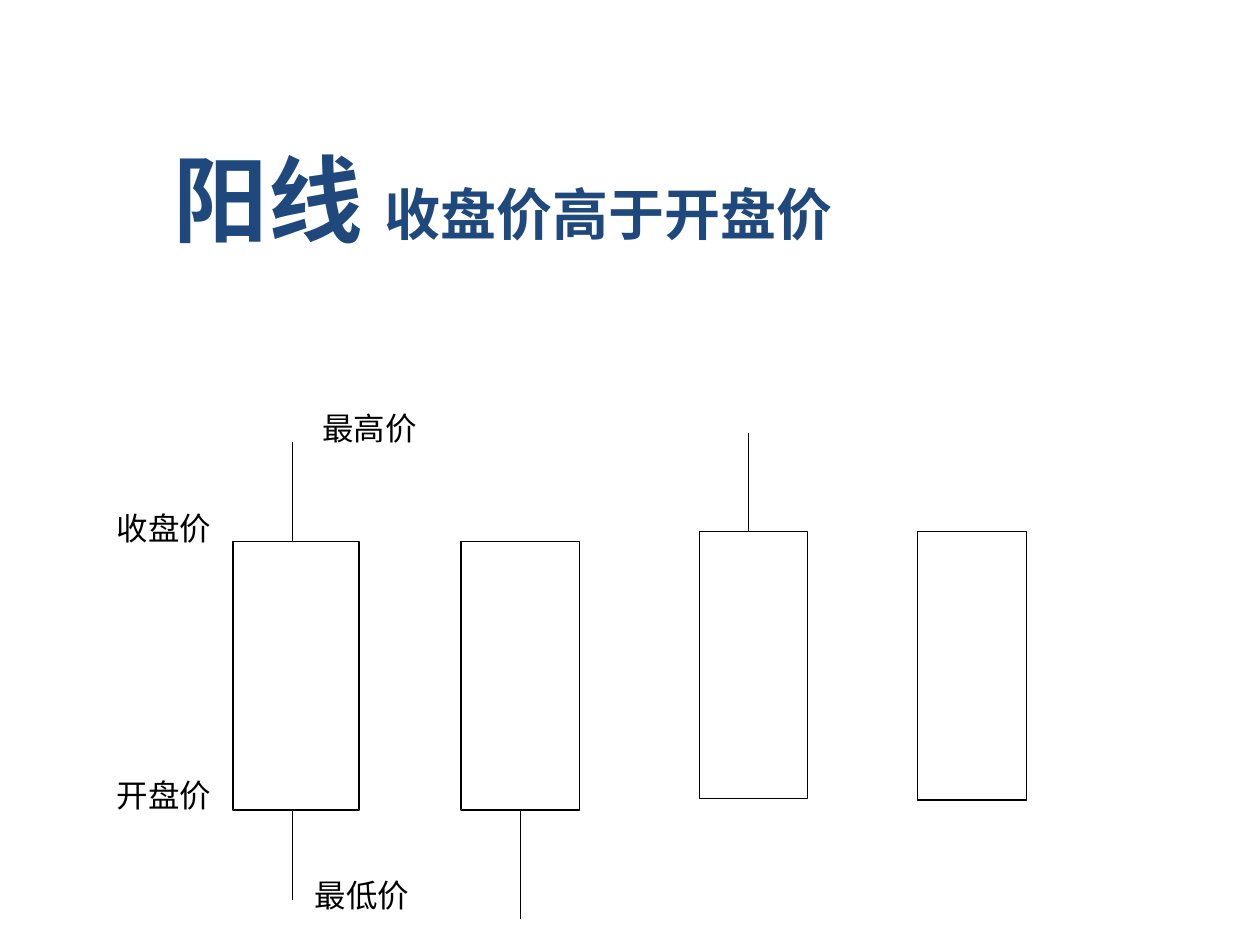
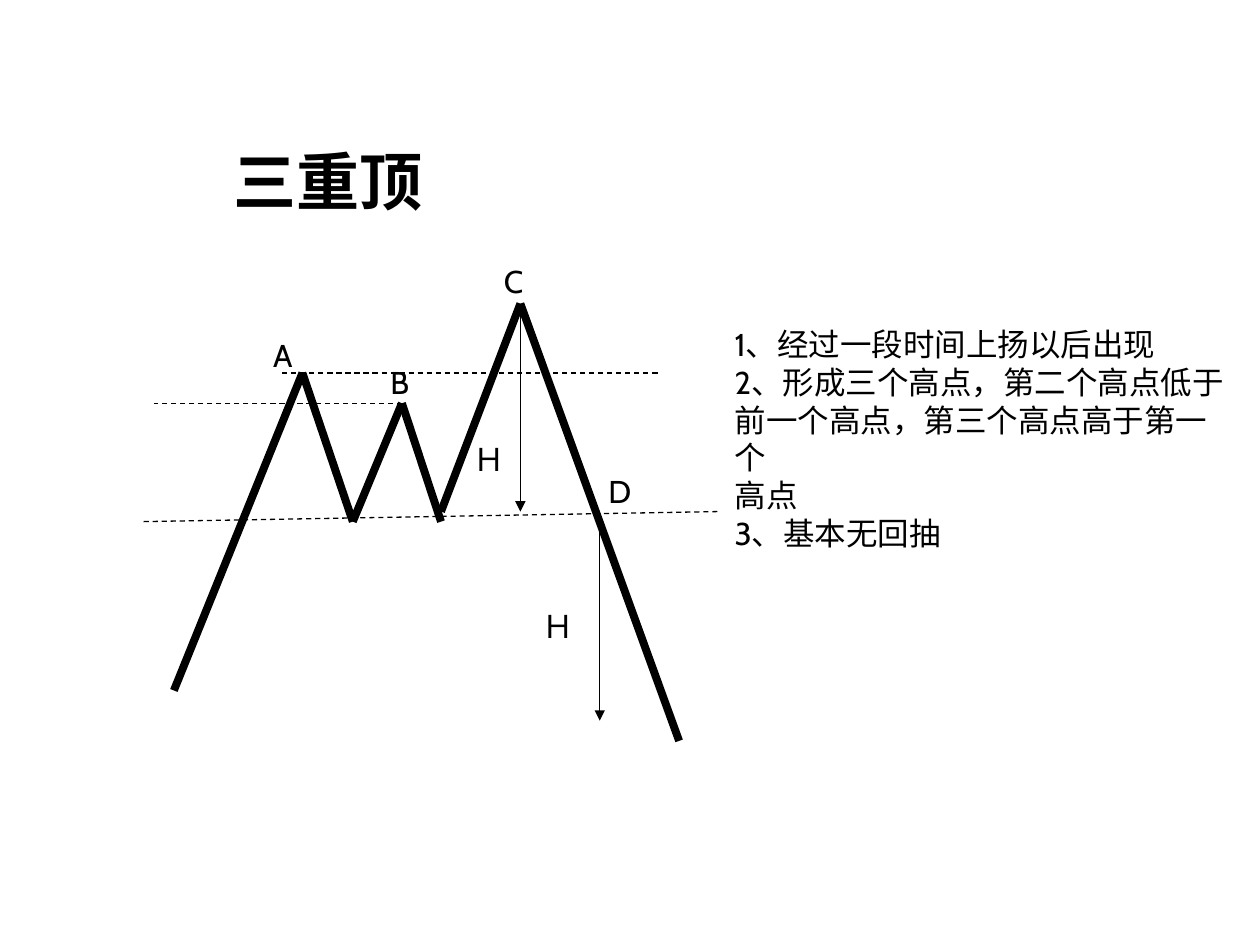
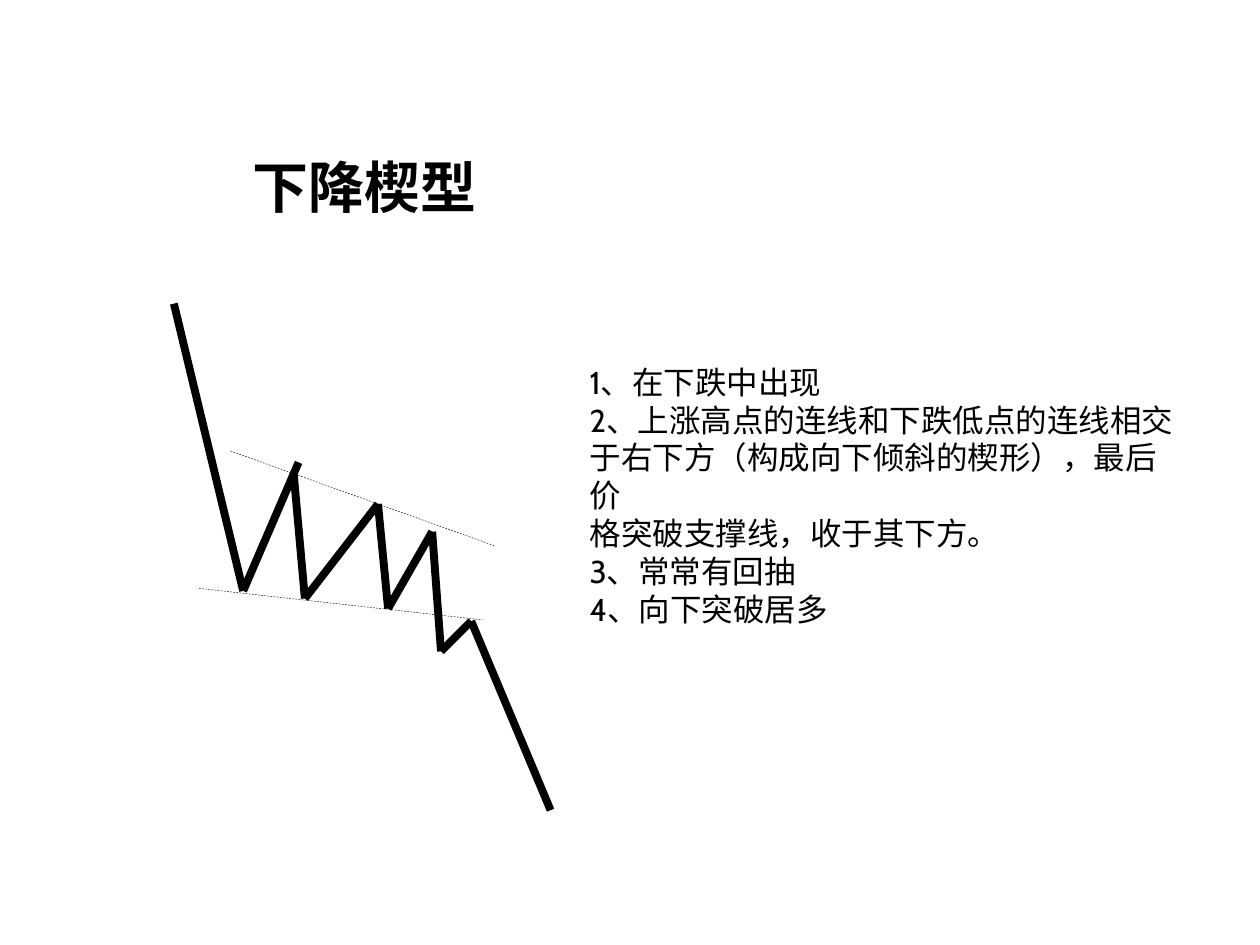
from itertools import pairwise
from pptx import Presentation
from pptx.dml import color
from pptx.enum import dml, shapes, text
from pptx.oxml import ns, xmlchemy
from pptx.util import Inches, Pt

INK, NAVY, PAPER = "000000", "1F497D", "FFFFFF"
LATIN, HAN = "Cabin", "Noto Sans CJK SC"
THICK, THIN, HAIR = 4.5, 0.75, 0.25
NOTE = {"size": Pt(18), "bold": False}

CANDLES = [
    ((1.85, 4.3, 1, 2.13), [(2.32, 3.51, 4.3), (2.32, 6.43, 7.14)]),
    ((3.66, 4.3, 0.94, 2.13), [(4.13, 6.43, 7.29)]),
    ((5.55, 4.22, 0.86, 2.12), [(5.94, 3.44, 4.22)]),
    ((7.28, 4.22, 0.87, 2.13), []),
]
SLIDES = [
    {
        "title": [("阳线 ", 54), ("收盘价高于开盘价", 32)],
        "place": (1.28, 1.07, 7.08, 1.01),
        "tint": NAVY,
        "face": HAN,
        "candles": CANDLES,
        "labels": [
            ("最高价", 2.46, 3.2, 0.95),
            ("收盘价", 0.83, 3.99, 0.95),
            ("开盘价", 0.83, 6.11, 0.95),
            ("最低价", 2.4, 6.9, 0.95),
        ],
    },
    {
        "title": [("三重顶", 36)],
        "place": (1.75, 1.08, 1.71, 0.7),
        "trends": [
            [(1.38, 5.48), (2.4, 2.96), (2.8, 4.14), (3.19, 3.2), (3.5, 4.14)],
            [(3.5, 4.06), (4.13, 2.41), (5.39, 5.88)],
        ],
        "guides": [
            [(1.14, 4.14), (5.71, 4.06)],
            [(2.24, 2.96), (5.24, 2.96)],
            [(3.19, 3.2), (1.22, 3.2)],
        ],
        "arrows": [[(4.76, 4.06), (4.76, 5.72)], [(4.13, 2.41), (4.13, 4.06)]],
        "labels": [
            ("Ｈ", 3.66, 3.44, 0.45),
            ("Ｈ", 4.21, 4.77, 0.45),
            ("A", 2.07, 2.62, 0.35),
            ("B", 3, 2.83, 0.35),
            ("C", 3.9, 2.03, 0.35),
            ("D", 4.73, 3.7, 0.37),
        ],
        "area": (5.73, 2.53, 4.2, 1.6),
        "notes": [
            "1、经过一段时间上扬以后出现",
            "2、形成三个高点，第二个高点低于",
            "前一个高点，第三个高点高于第一个",
            "高点",
            "3、基本无回抽",
        ],
    },
    {
        "title": [("下降楔型", 32)],
        "place": (1.9, 1.16, 1.99, 0.63),
        "trends": [
            [(1.38, 2.41), (1.93, 4.69), (2.37, 3.67)],
            [(2.33, 3.75), (2.42, 4.75), (3, 4), (3.08, 4.83), (3.43, 4.22),
             (3.5, 5.17), (3.74, 4.93), (4.37, 6.43)],
        ],
        "guides": [[(1.83, 3.58), (3.92, 4.33)], [(1.58, 4.67), (3.83, 4.92)]],
        "weight": HAIR,
        "area": (4.58, 2.83, 4.95, 1.9),
        "notes": [
            "1、在下跌中出现",
            "2、上涨高点的连线和下跌低点的连线相交",
            "于右下方（构成向下倾斜的楔形），最后价",
            "格突破支撑线，收于其下方。",
            "3、常常有回抽",
            "4、向下突破居多",
        ],
    },
]


def paint(target, tone):
    target.rgb = color.RGBColor.from_string(tone)


def add(parent, tag, **attrs):
    node = xmlchemy.OxmlElement(tag)
    for key, value in attrs.items():
        node.set(key, value)
    parent.append(node)


def style(run, form, tone=INK, face=LATIN):
    paint(run.font.color, tone)
    for key, value in {"name": face, **form}.items():
        setattr(run.font, key, value)
    add(run.font._element, "a:ea", typeface=HAN)


def frame(shape, place, wrap=False):
    for key, value in zip(("left", "top", "width", "height"), place):
        setattr(shape, key, Inches(value))
    body = shape.text_frame
    form = {"word_wrap": wrap, "auto_size": text.MSO_AUTO_SIZE.NONE,
            "vertical_anchor": text.MSO_ANCHOR.TOP}
    for key, value in form.items():
        setattr(body, key, value)
    return body


def head(slide, data):
    body = frame(slide.shapes.title, data["place"], wrap="candles" in data)
    line = body.paragraphs[0]
    line.alignment = text.PP_ALIGN.LEFT
    for words, size in data["title"]:
        run = line.add_run()
        run.text = words
        style(run, {"size": Pt(size), "bold": True},
              data.get("tint", INK), data.get("face", LATIN))


def listing(slide, data):
    body = frame(slide.placeholders[1], data["area"])
    body.text = "\n".join(data["notes"])
    for line in body.paragraphs:
        props = line._p.get_or_add_pPr()
        props.set("marL", "0")
        props.set("indent", "0")
        add(props, "a:buNone")
        line.space_before = Pt(0)
        style(line.runs[0], NOTE)


def label(slide, words, left, top, width):
    place = (left, top, width, 0.4)
    box = slide.shapes.add_textbox(*map(Inches, place))
    body = frame(box, place)
    body.text = words
    style(body.paragraphs[0].runs[0], NOTE)


def stroke(slide, start, end, weight=THIN, dash=False, arrow=False):
    link = slide.shapes.add_connector(
        shapes.MSO_CONNECTOR.STRAIGHT, *map(Inches, (*start, *end)))
    paint(link.line.color, INK)
    link.line.width = Pt(weight)
    if dash:
        link.line.dash_style = dml.MSO_LINE.DASH
    props = link._element.spPr
    if arrow:
        add(props.find(ns.qn("a:ln")), "a:tailEnd", type="triangle")
    add(props, "a:effectLst")


def candle(slide, place, wicks):
    bar = slide.shapes.add_shape(shapes.MSO_SHAPE.RECTANGLE, *map(Inches, place))
    bar.shadow.inherit = False
    bar.fill.solid()
    paint(bar.fill.fore_color, PAPER)
    paint(bar.line.color, INK)
    bar.line.width = Pt(THIN)
    for x, top, foot in wicks:
        stroke(slide, (x, top), (x, foot))


def main():
    deck = Presentation()
    deck.slide_width, deck.slide_height = Inches(10), Inches(7.5)
    for data in SLIDES:
        slide = deck.slides.add_slide(deck.slide_layouts[1 if "notes" in data else 5])
        head(slide, data)
        for place, wicks in data.get("candles", []):
            candle(slide, place, wicks)
        for trend in data.get("trends", []):
            for start, end in pairwise(trend):
                stroke(slide, start, end, THICK)
        for start, end in data.get("guides", []):
            stroke(slide, start, end, data.get("weight", THIN), dash=True)
        for start, end in data.get("arrows", []):
            stroke(slide, start, end, arrow=True)
        for item in data.get("labels", []):
            label(slide, *item)
        if "notes" in data:
            listing(slide, data)
    deck.save("out.pptx")


if __name__ == "__main__":
    main()
